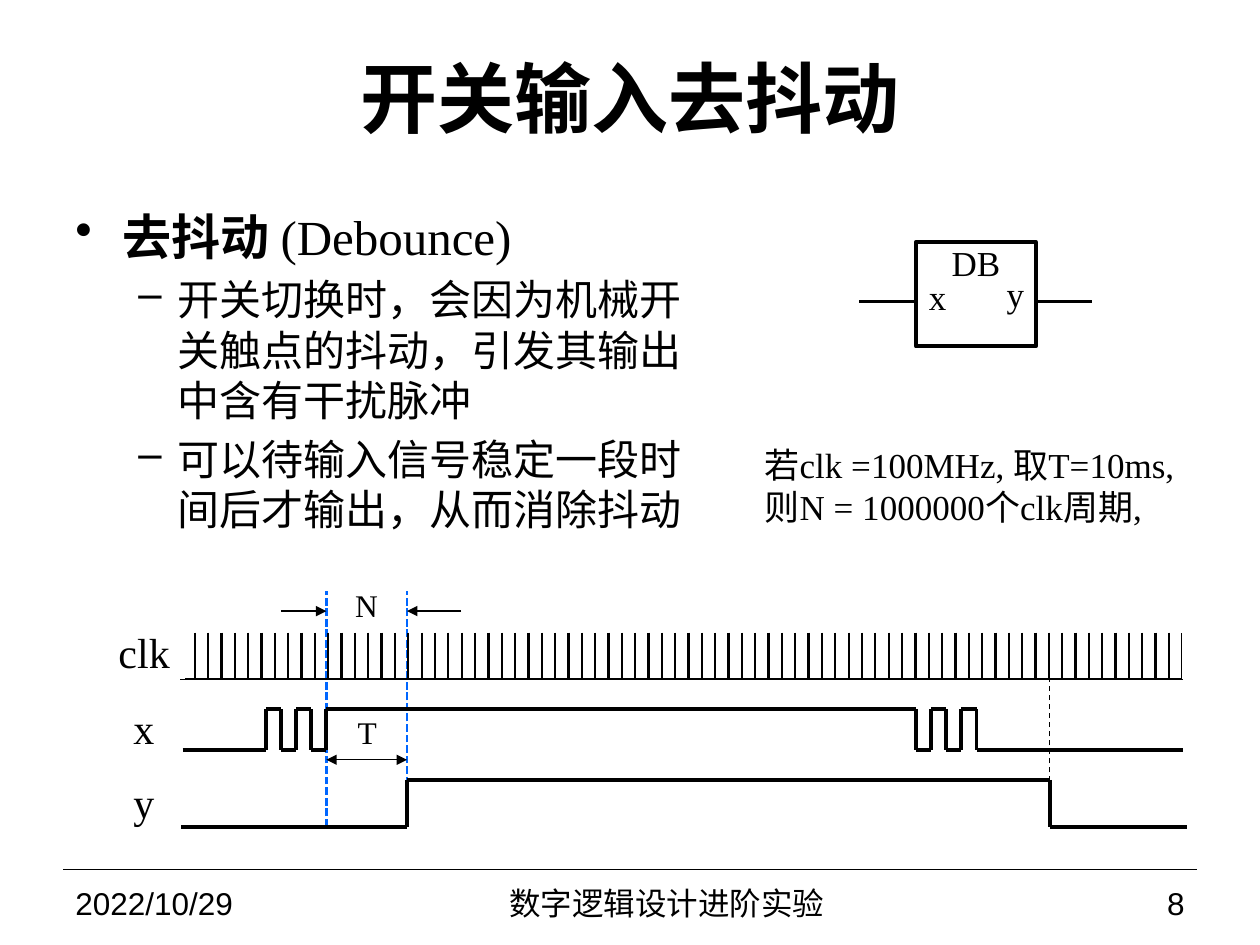
from itertools import pairwise

from lxml import etree
from pptx import Presentation
from pptx.dml.color import RGBColor
from pptx.enum.dml import MSO_LINE
from pptx.enum.shapes import MSO_CONNECTOR, MSO_SHAPE
from pptx.enum.text import MSO_ANCHOR, PP_ALIGN
from pptx.oxml.ns import qn
from pptx.util import Emu, Inches, Pt

STRAIGHT, RECTANGLE = MSO_CONNECTOR.STRAIGHT, MSO_SHAPE.RECTANGLE
SHORT_DASH, DASH = MSO_LINE.SQUARE_DOT, MSO_LINE.DASH
LEFT, CENTER, RIGHT = PP_ALIGN.LEFT, PP_ALIGN.CENTER, PP_ALIGN.RIGHT
TOP, MIDDLE = MSO_ANCHOR.TOP, MSO_ANCHOR.MIDDLE

THEME = {
    "ink": "000000", "marker": "0066FF", "paper": "FFFFFF",
    "serif": "Times New Roman", "sans": "Arial",
    "title": 44, "heading": 28, "point": 24, "signal": 24, "note": 20, "small": 18,
    "hair": 0.75, "medium": 1.5, "thick": 2.25, "mask": 3,
}

deck = Presentation()
deck.slide_width, deck.slide_height = Inches(10), Inches(7.5)
page = deck.slides.add_slide(deck.slide_layouts[6])

# The page is a grid of 100 columns by 75 rows; all lengths count its cells
CELL = deck.slide_width / 100


def add_line(start, end, width="hair", color="ink", dash=None, ends=()):
    points = [Emu(round(value * CELL)) for value in (*start, *end)]
    line = page.shapes.add_connector(STRAIGHT, *points)
    line.line.width = Pt(THEME[width])
    line.line.color.rgb = RGBColor.from_string(THEME[color])
    if dash:
        line.line.dash_style = dash
    for arrow in ends:
        etree.SubElement(line.line._ln, qn(f"a:{arrow}"), type="triangle")
    etree.SubElement(line._element.spPr, qn("a:effectLst"))


def add_text(area, text, size, align=LEFT, anchor=TOP, font="serif",
             bold=False, wrap=True, inset=True, outlined=False):
    place = [Emu(round(value * CELL)) for value in area]
    if outlined:
        box = page.shapes.add_shape(RECTANGLE, *place)
        box.shadow.inherit = False
        box.fill.background()
        box.line.width = Pt(THEME["thick"])
        box.line.color.rgb = RGBColor.from_string(THEME["ink"])
    else:
        box = page.shapes.add_textbox(*place)
    frame = box.text_frame
    frame.word_wrap, frame.vertical_anchor = wrap, anchor
    if not inset:
        frame.margin_left = frame.margin_right = 0
        frame.margin_top = frame.margin_bottom = 0
    para = frame.paragraphs[0]
    para.text, para.alignment = text, align
    para.font.name, para.font.size = THEME[font], Pt(THEME[size])
    para.font.bold = bold
    para.font.color.rgb = RGBColor.from_string(THEME["ink"])
    return frame


# Title
add_text((5, 3, 90, 9.3), "开关输入去抖动", "title", CENTER, MIDDLE, bold=True)

# Bulleted body: text, size, left margin, hanging indent, bullet
body = add_text((5, 15.9, 52.9, 31.1), "", "heading")
points = [
    ("去抖动 ", "heading", 3.75, 3.75, "•"),
    ("开关切换时，会因为机械开关触点的抖动，引发其输出中含有干扰脉冲", "point", 8.1, 3.1, "–"),
    ("可以待输入信号稳定一段时间后才输出，从而消除抖动", "point", 8.1, 3.1, "–"),
]
for index, (text, size, margin, hang, bullet) in enumerate(points):
    para = body.add_paragraph() if index else body.paragraphs[0]
    para.font.name, para.font.size = THEME["serif"], Pt(THEME[size])
    para.font.color.rgb = RGBColor.from_string(THEME["ink"])
    para.space_before = Pt(0.2 * THEME[size])
    span = para.add_run()
    span.text = text
    if index == 0:
        span.font.bold = True
        para.add_run().text = "(Debounce)"
    props = para._p.get_or_add_pPr()
    props.set("marL", str(round(margin * CELL)))
    props.set("indent", str(round(-hang * CELL)))
    mark = etree.Element(qn("a:buChar"), char=bullet)
    props.find(qn("a:defRPr")).addprevious(mark)

# Debounce block with its input and output
add_text((72.7, 19.2, 9.5, 8.3), "DB", "note", CENTER, wrap=False, inset=False, outlined=True)
add_text((72.7, 21.4, 3.4, 4.4), "x", "note", RIGHT, wrap=False)
add_text((78.9, 21.1, 3.4, 4.4), "y", "note", wrap=False)
for left in (68.2, 82.2):
    add_line((left, 23.95), (left + 4.5, 23.95), "medium")

# Clock period note
add_text((59.7, 34.7, 35.1, 7.7), "若clk =100MHz, 取T=10ms, 则N = 1000000个clk周期,", "note")

# Time markers: stable input, output rise, output fall
STABLE, RISE, FALL = 25.9, 32.3, 83.3
for x in (STABLE, RISE):
    add_line((x, 65.6), (x, 46.9), "medium", "marker", SHORT_DASH)
add_line((FALL, 65.6), (FALL, 51.8), dash=DASH)

# Input and output waveforms: level changes at each edge, starting low
waves = [
    (14.5, 93.9, 59.5, 56.3,
     [21.1, 22.3, 23.5, 24.7, STABLE, 72.7, 73.9, 75.1, 76.3, 77.5]),
    (14.4, 94.2, 65.6, 61.9, [RISE, FALL]),
]
for start, end, low, high, edges in waves:
    levels = [(low, high), (high, low)]
    corners = [(start, low)]
    for index, x in enumerate(edges):
        corners += [(x, y) for y in levels[index % 2]]
    corners.append((end, low))
    for here, there in pairwise(corners):
        add_line(here, there, "thick")

# Signal names
add_text((9.4, 49.7, 4.1, 4), "clk", "signal", anchor=MIDDLE, wrap=False, inset=False)
add_text((9.6, 55.3, 3.7, 5.1), "x", "signal", wrap=False)
add_text((9.6, 61.1, 3.7, 5), "y", "signal", wrap=False)

# Clock ticks: a one-row table with side and bottom borders
TICKS = 75
clock_area = [Emu(round(value * CELL)) for value in (14.4, 50.2, 79.6, 3.7)]
clock = page.shapes.add_table(1, TICKS, *clock_area).table
clock.first_row = clock.horz_banding = False
for column in clock.columns:
    column.width = Emu(clock_area[2] // TICKS)
for cell in clock.iter_cells():
    cell.margin_left = cell.margin_right = cell.margin_top = cell.margin_bottom = 0
    cell.text_frame.paragraphs[0].font.size = Pt(THEME["small"])
    cell.fill.background()
    props = cell._tc.get_or_add_tcPr()
    for index, side in enumerate(("lnL", "lnR", "lnT", "lnB")):
        border = etree.Element(qn(f"a:{side}"), w=str(Pt(THEME["medium"])))
        if side == "lnT":
            etree.SubElement(border, qn("a:noFill"))
        else:
            fill = etree.SubElement(border, qn("a:solidFill"))
            etree.SubElement(fill, qn("a:srgbClr"), val=THEME["ink"])
        props.insert(index, border)
for x in (94, 14.5):
    add_line((x, 50.2), (x, 53.9), "mask", "paper")

# Dimensions T and N
add_text((27.4, 56.1, 4, 4), "T", "small")
add_text((27.2, 46, 4.3, 4), "N", "small")
add_line((STABLE, 60.3), (RISE, 60.3), ends=("headEnd", "tailEnd"))
add_line((22.3, 48.5), (STABLE, 48.5), ends=("tailEnd",))
add_line((36.6, 48.5), (RISE, 48.5), ends=("tailEnd",))

# Footer
add_line((5, 69), (95, 69))
footer = [(5, 23.3, "2022/10/29", LEFT), (28.3, 49.2, "数字逻辑设计进阶实验", CENTER),
          (77.5, 17.5, "8", RIGHT)]
for left, width, text, align in footer:
    add_text((left, 69.8, width, 3.7), text, "small", align, MIDDLE, "sans")

deck.save("out.pptx")
